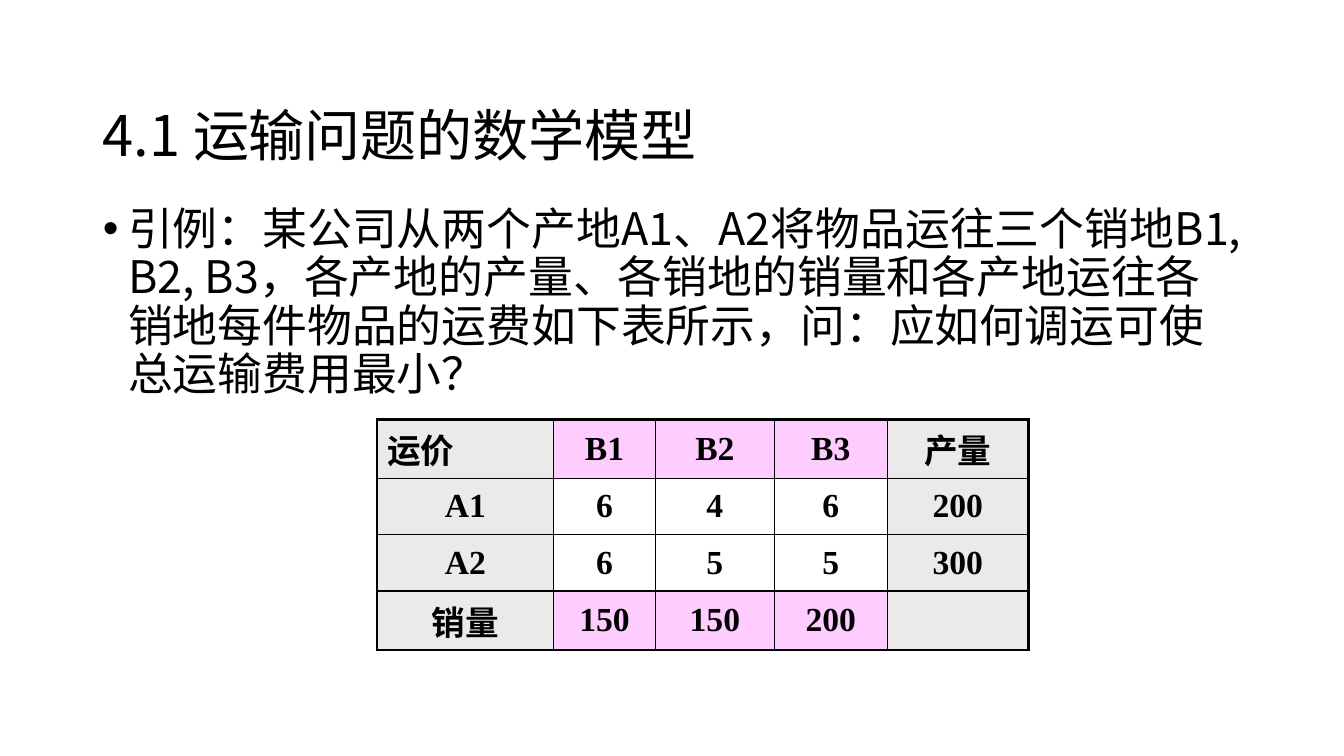
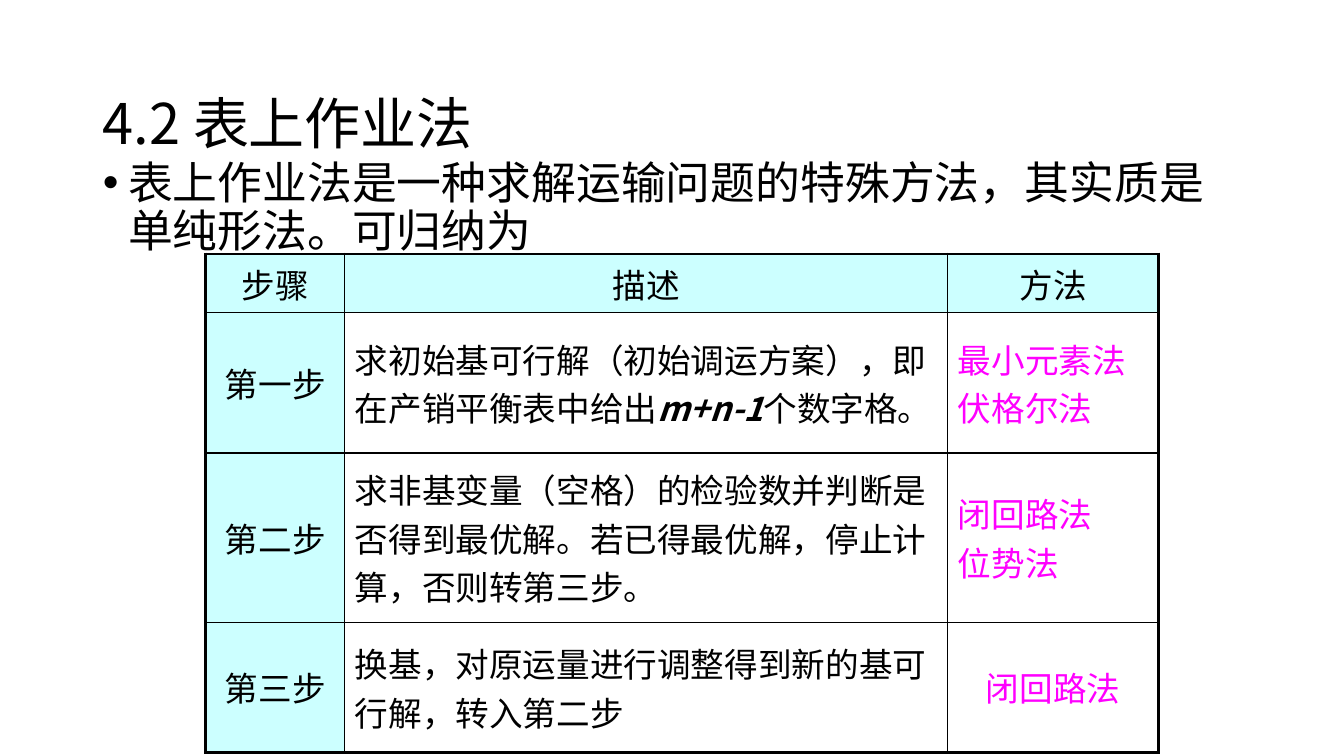
from dataclasses import dataclass

from lxml import etree
from pptx import Presentation
from pptx import util as u
from pptx.dml.color import RGBColor
from pptx.enum import text
from pptx.oxml import ns

CENTER, LEFT = text.PP_ALIGN.CENTER, text.PP_ALIGN.LEFT


@dataclass(frozen=True)
class Theme:
    black: str = "000000"
    white: str = "FFFFFF"
    gray: str = "EAEAEA"
    pink: str = "FFCCFF"
    cyan: str = "CCFFFF"
    magenta: str = "FF00FF"
    heading_font: str = "Noto Sans CJK SC"
    body_font: str = "Noto Sans CJK JP"
    number_font: str = "Times New Roman"
    title_size: int = 40
    body_size: int = 32
    table_size: int = 24
    line_spacing: float = 0.9
    outer_line: float = 2.25
    inner_line: float = 1
    left: float = 0.92
    width: float = 11.5
    title_height: float = 0.93
    body_height: float = 4.76


THEME = Theme()


def add_run(paragraph, words, font_name, size, color=THEME.black, bold=False, italic=False):
    """Add a run whose font covers both Latin and East Asian letters."""
    run = paragraph.add_run()
    run.text = words
    font = run.font
    font.name, font.size = font_name, u.Pt(size)
    font.bold, font.italic = bold, italic
    font.color.rgb = RGBColor.from_string(color)
    east_asian = etree.Element(ns.qn("a:ea"), typeface=font_name)
    run._r.get_or_add_rPr().find(ns.qn("a:latin")).addnext(east_asian)


def place(shape, left, top, width, height):
    shape.left, shape.top = u.Inches(left), u.Inches(top)
    shape.width, shape.height = u.Inches(width), u.Inches(height)


def fill_placeholder(shape, box, words, font_name, size, anchor):
    place(shape, *box)
    frame = shape.text_frame
    frame.word_wrap = True
    frame.auto_size = text.MSO_AUTO_SIZE.NONE
    frame.vertical_anchor = anchor
    paragraph = frame.paragraphs[0]
    paragraph.alignment = LEFT
    paragraph.line_spacing = THEME.line_spacing
    add_run(paragraph, words, font_name, size)
    return paragraph


def add_text_slide(presentation, title, title_top, body, body_top):
    slide = presentation.slides.add_slide(presentation.slide_layouts[1])
    title_box = (THEME.left, title_top, THEME.width, THEME.title_height)
    fill_placeholder(slide.shapes.title, title_box, title, THEME.heading_font,
                     THEME.title_size, text.MSO_ANCHOR.MIDDLE)
    body_box = (THEME.left, body_top, THEME.width, THEME.body_height)
    paragraph = fill_placeholder(slide.placeholders[1], body_box, body, THEME.body_font,
                                 THEME.body_size, text.MSO_ANCHOR.TOP)
    paragraph.space_before = u.Pt(10)
    properties = paragraph._p.get_or_add_pPr()
    properties.set("marL", str(u.Inches(0.25)))
    properties.set("indent", str(-u.Inches(0.25)))
    return slide


def set_borders(cell, widths):
    """Draw the left, right, top and bottom lines, widths in points."""
    properties = cell._tc.get_or_add_tcPr()
    for position, (side, width) in enumerate(zip("LRTB", widths)):
        line = etree.Element(ns.qn(f"a:ln{side}"), w=str(u.Pt(width)))
        fill = etree.SubElement(line, ns.qn("a:solidFill"))
        etree.SubElement(fill, ns.qn("a:srgbClr"), val=THEME.black)
        properties.insert(position, line)


def add_grid(slide, left, top, column_widths, row_heights, fill_color, write_cell):
    """Add a table with heavy outer lines; the two callbacks take row and column."""
    rows, columns = len(row_heights), len(column_widths)
    frame = slide.shapes.add_table(rows, columns, u.Inches(left), u.Inches(top),
                                   u.Inches(sum(column_widths)), u.Inches(sum(row_heights)))
    table = frame.table
    table.first_row = table.horz_banding = False
    for column, width in zip(table.columns, column_widths):
        column.width = u.Inches(width)
    for row, height in zip(table.rows, row_heights):
        row.height = u.Inches(height)
    for r in range(rows):
        for c in range(columns):
            cell = table.cell(r, c)
            cell.vertical_anchor = text.MSO_ANCHOR.MIDDLE
            cell.fill.solid()
            cell.fill.fore_color.rgb = RGBColor.from_string(fill_color(r, c))
            outer = (c == 0, c == columns - 1, r == 0, r == rows - 1)
            set_borders(cell, [THEME.outer_line if edge else THEME.inner_line for edge in outer])
            write_cell(cell, r, c)


def add_cost_table(slide, left, top):
    values = [
        ["运价", "B1", "B2", "B3", "产量"],
        ["A1", "6", "4", "6", "200"],
        ["A2", "6", "5", "5", "300"],
        ["销量", "150", "150", "200", ""],
    ]

    def fill_color(r, c):
        if c in (0, 4):
            return THEME.gray
        return THEME.pink if r in (0, 3) else THEME.white

    def write_cell(cell, r, c):
        words = values[r][c]
        paragraph = cell.text_frame.paragraphs[0]
        paragraph.alignment = LEFT if (r, c) == (0, 0) else CENTER
        if words:
            font_name = THEME.number_font if words.isascii() else THEME.heading_font
            add_run(paragraph, words, font_name, THEME.table_size, bold=True)

    add_grid(slide, left, top, [1.75, 1.01, 1.18, 1.12, 1.4], [0.53, 0.56, 0.56, 0.56],
             fill_color, write_cell)


def add_step_table(slide, left, top):
    formula = "m+n-1"
    values = [
        ["步骤", "描述", "方法"],
        ["第一步", f"求初始基可行解（初始调运方案），即在产销平衡表中给出{formula}个数字格。",
         "最小元素法伏格尔法"],
        ["第二步", "求非基变量（空格）的检验数并判断是否得到最优解。若已得最优解，停止计算，否则转第三步。",
         "闭回路法\n位势法"],
        ["第三步", "换基，对原运量进行调整得到新的基可行解，转入第二步", "闭回路法"],
    ]

    def fill_color(r, c):
        return THEME.cyan if r == 0 or c == 0 else THEME.white

    def write_cell(cell, r, c):
        centered = r == 0 or c == 0 or (r, c) == (3, 2)
        color = THEME.magenta if r > 0 and c == 2 else THEME.black
        frame = cell.text_frame
        for index, line in enumerate(values[r][c].split("\n")):
            paragraph = frame.add_paragraph() if index else frame.paragraphs[0]
            paragraph.alignment = CENTER if centered else LEFT
            for part in line.partition(formula):
                if part:
                    strong = part == formula
                    add_run(paragraph, part, THEME.heading_font, THEME.table_size, color,
                            bold=strong, italic=strong)

    add_grid(slide, left, top, [1.38, 5.98, 2.09], [0.53, 1.39, 1.68, 1.29],
             fill_color, write_cell)


def main():
    presentation = Presentation()
    presentation.slide_width, presentation.slide_height = u.Inches(13.33), u.Inches(7.5)
    model_slide = add_text_slide(
        presentation, "4.1 运输问题的数学模型", 0.91,
        "引例：某公司从两个产地A1、A2将物品运往三个销地B1, B2, B3，各产地的产量、各销地的销量"
        "和各产地运往各销地每件物品的运费如下表所示，问：应如何调运可使总运输费用最小？", 2)
    add_cost_table(model_slide, 3.74, 4.16)
    method_slide = add_text_slide(
        presentation, "4.2 表上作业法", 0.79,
        "表上作业法是一种求解运输问题的特殊方法，其实质是单纯形法。可归纳为", 1.54)
    add_step_table(method_slide, 2.04, 2.52)
    presentation.save("out.pptx")


if __name__ == "__main__":
    main()
